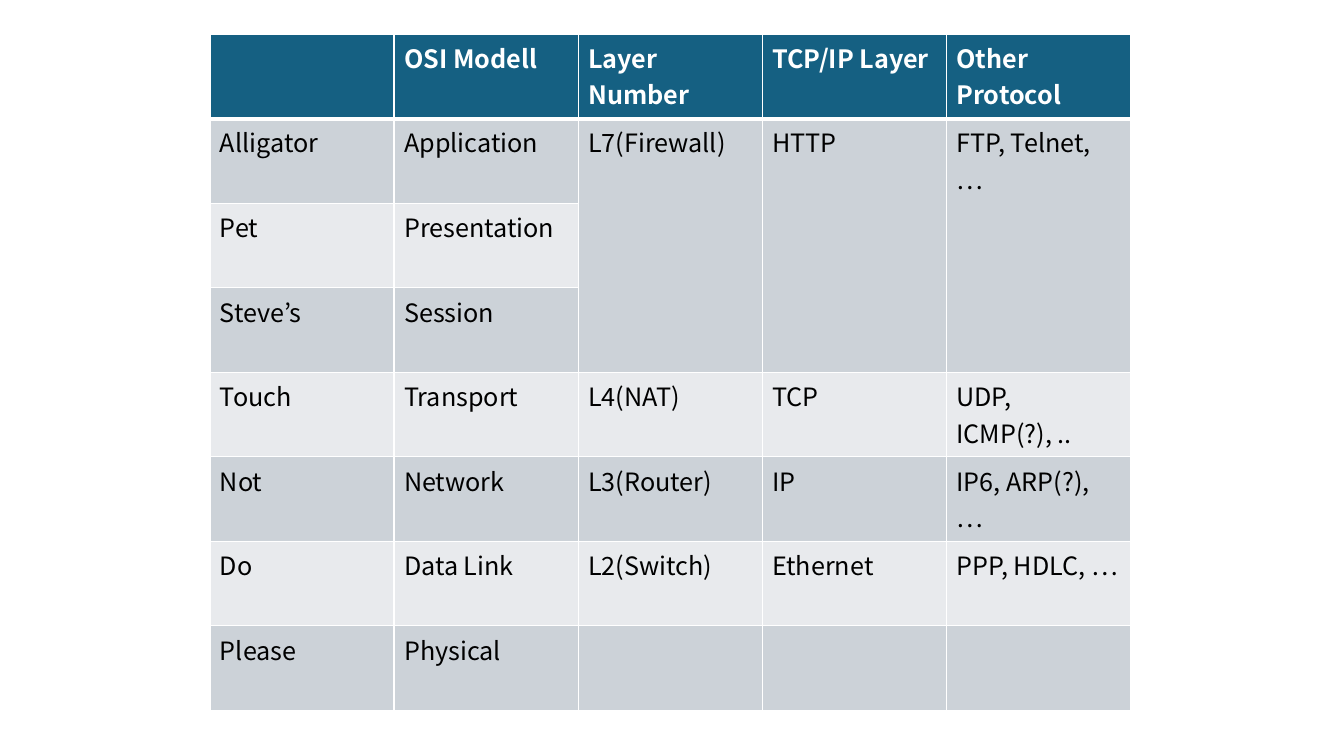
import lxml.etree
import pptx
import pptx.dml.color
import pptx.oxml.ns
import pptx.util

Cm = pptx.util.Cm
Pt = pptx.util.Pt
RGBColor = pptx.dml.color.RGBColor
qn = pptx.oxml.ns.qn

WHITE = RGBColor(0xFF, 0xFF, 0xFF)
BLACK = RGBColor(0x00, 0x00, 0x00)
HEADER_BLUE = RGBColor(0x15, 0x60, 0x82)
DARK_BAND = RGBColor(0xCC, 0xD2, 0xD8)
LIGHT_BAND = RGBColor(0xE8, 0xEA, 0xED)

FONT = "Noto Sans CJK KR"
COLUMN_WIDTH = Cm(4.64)
ROW_HEIGHT = Cm(2.13)
MERGED_COLUMNS = (2, 3, 4)

ROWS = [
    ("", "OSI Modell", "Layer Number", "TCP/IP Layer", "Other Protocol"),
    ("Alligator", "Application", "L7(Firewall)", "HTTP", "FTP, Telnet, …"),
    ("Pet", "Presentation", "", "", ""),
    ("Steve’s", "Session", "", "", ""),
    ("Touch", "Transport", "L4(NAT)", "TCP", "UDP, ICMP(?), .."),
    ("Not", "Network", "L3(Router)", "IP", "IP6, ARP(?), …"),
    ("Do", "Data Link", "L2(Switch)", "Ethernet", "PPP, HDLC, …"),
    ("Please", "Physical", "", "", ""),
]


def set_borders(cell, top, bottom):
    """Draw white cell borders, with top and bottom widths in points."""
    properties = cell._tc.get_or_add_tcPr()
    widths = {"a:lnL": 1, "a:lnR": 1, "a:lnT": top, "a:lnB": bottom}
    for position, (side, width) in enumerate(widths.items()):
        line = lxml.etree.Element(qn(side), w=str(Pt(width)))
        fill = lxml.etree.SubElement(line, qn("a:solidFill"))
        lxml.etree.SubElement(fill, qn("a:srgbClr"), val=str(WHITE))
        properties.insert(position, line)


def add_text(cell, text, color, bold):
    """Add one styled run to a cell."""
    run = cell.text_frame.paragraphs[0].add_run()
    run.text = text
    run.font.size = Pt(18)
    run.font.bold = bold
    run.font.color.rgb = color
    run.font.name = FONT
    lxml.etree.SubElement(run.font._element, qn("a:ea"), typeface=FONT)


def fill_cell(cell, row_index, text):
    """Style a cell by its row and write its text."""
    is_header = row_index == 0
    band = DARK_BAND if row_index % 2 else LIGHT_BAND
    cell.fill.solid()
    cell.fill.fore_color.rgb = HEADER_BLUE if is_header else band
    set_borders(cell, 3 if row_index == 1 else 1, 3 if is_header else 1)
    if text:
        add_text(cell, text, WHITE if is_header else BLACK, is_header)


def add_layer_table(slide):
    """Add the table of network layers and their protocols."""
    row_count, column_count = len(ROWS), len(ROWS[0])
    table = slide.shapes.add_table(
        row_count, column_count, Cm(5.29), Cm(0.86),
        COLUMN_WIDTH * column_count, ROW_HEIGHT * row_count,
    ).table
    for column in table.columns:
        column.width = COLUMN_WIDTH
    for row in table.rows:
        row.height = ROW_HEIGHT
    for row_index, texts in enumerate(ROWS):
        for column_index, text in enumerate(texts):
            fill_cell(table.cell(row_index, column_index), row_index, text)
    for column_index in MERGED_COLUMNS:
        table.cell(1, column_index).merge(table.cell(3, column_index))


def main():
    """Build the slide and save the presentation."""
    presentation = pptx.Presentation()
    presentation.slide_width = Cm(33.87)
    presentation.slide_height = Cm(19.05)
    slide = presentation.slides.add_slide(presentation.slide_layouts[6])
    add_layer_table(slide)
    presentation.save("out.pptx")


if __name__ == "__main__":
    main()
